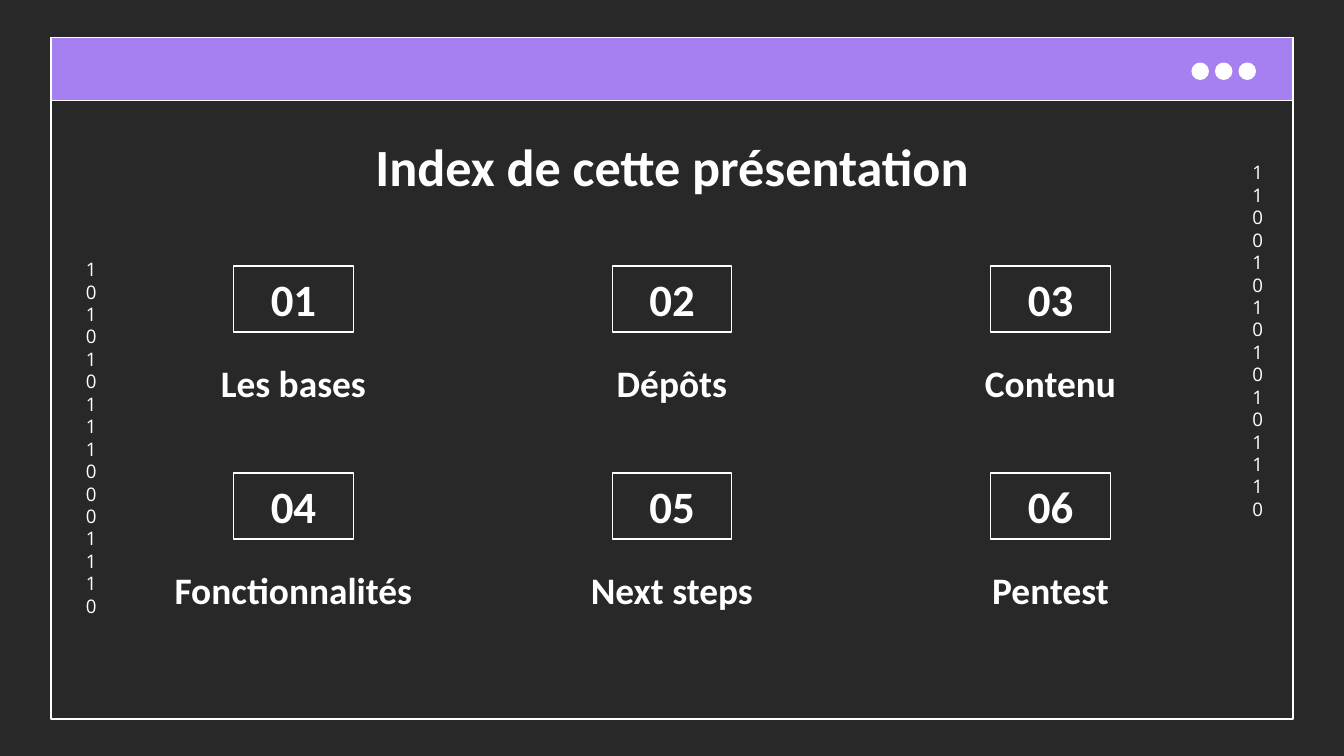
import pptx
import pptx.util
import pptx.dml.color
import pptx.enum.shapes
import pptx.enum.text

SHAPE = pptx.enum.shapes.MSO_SHAPE
ANCHOR = pptx.enum.text.MSO_ANCHOR
COLORS = {"background": "292828", "bar": "A67FF1", "ink": "FFFFFF"}
WIDTH = 10
HEIGHT = WIDTH * 9 / 16
COLUMNS, ROWS = 3, 2
TOPICS = ["Les bases", "Dépôts", "Contenu",
          "Fonctionnalités", "Next steps", "Pentest"]


def rgb(name):
    return pptx.dml.color.RGBColor.from_string(COLORS[name])


def inches(box):
    return [pptx.util.Inches(length) for length in box]


def write(holder, text, size=20, font="Calibri", bold=True, anchor=ANCHOR.TOP):
    """Fill a text holder with centred paragraphs, one per line of text."""
    frame = holder.text_frame
    frame.word_wrap = True
    frame.auto_size = pptx.enum.text.MSO_AUTO_SIZE.NONE
    frame.vertical_anchor = anchor
    frame.margin_left = frame.margin_right = pptx.util.Inches(0.1)
    frame.margin_top = frame.margin_bottom = pptx.util.Inches(0.1)
    frame.text = text
    for paragraph in frame.paragraphs:
        paragraph.alignment = pptx.enum.text.PP_ALIGN.CENTER
        paragraph.font.size = pptx.util.Pt(size)
        paragraph.font.name = font
        paragraph.font.bold = bold
        paragraph.font.color.rgb = rgb("ink")


def add_outlined(slide, kind, box, fill=None):
    """Draw a shape with a thin white line."""
    outlined = slide.shapes.add_shape(kind, *inches(box))
    outlined.shadow.inherit = False
    outlined.line.color.rgb = rgb("ink")
    outlined.line.width = pptx.util.Pt(0.75)
    if fill:
        outlined.fill.solid()
        outlined.fill.fore_color.rgb = rgb(fill)
    else:
        outlined.fill.background()
    return outlined


def add_label(slide, box, text, **style):
    write(slide.shapes.add_textbox(*inches(box)), text, **style)


def add_window(slide, box):
    """Window frame with its title bar and three buttons."""
    left, top, width, height = box
    bar_height, dot = 0.47, 0.12
    dot_pitch = 0.35 / 2
    add_outlined(slide, SHAPE.RECTANGLE, box)
    add_outlined(slide, SHAPE.RECTANGLE, (left, top, width, bar_height), "bar")
    first_dot = left + width - 0.75
    for index in range(3):
        add_outlined(slide, SHAPE.OVAL,
                     (first_dot + index * dot_pitch, top + 0.19, dot, dot),
                     "ink")


def add_binary_column(slide, box, digits):
    """Digits that wrap one by one in a narrow box."""
    add_label(slide, box, digits, size=10, font="Open Sans", bold=False)


def add_topic(slide, box, number, topic):
    """Numbered frame centred above the name of the topic."""
    left, top, width, height = box
    frame_width, frame_height, label_offset = 0.89, 0.49, 0.6
    frame = add_outlined(slide, SHAPE.RECTANGLE,
                         (left + (width - frame_width) / 2, top,
                          frame_width, frame_height))
    write(frame, f"{number:02d}", size=24, anchor=ANCHOR.MIDDLE)
    add_label(slide, (left, top + label_offset, width, height - label_offset),
              topic)


def add_index(slide, box):
    """Grid of topics, numbered row by row."""
    left, top, width, height = box
    gap = 0.03
    cell_width = (width - gap * (COLUMNS - 1)) / COLUMNS
    row_pitch = 1.54
    cell_height = height - row_pitch * (ROWS - 1)
    for index, topic in enumerate(TOPICS):
        row, column = divmod(index, COLUMNS)
        cell = (left + column * (cell_width + gap), top + row * row_pitch,
                cell_width, cell_height)
        add_topic(slide, cell, index + 1, topic)


def place_title(slide, box, text):
    title = slide.shapes.title
    title.left, title.top, title.width, title.height = inches(box)
    write(title, text, size=28)


def main():
    deck = pptx.Presentation()
    deck.slide_width, deck.slide_height = inches((WIDTH, HEIGHT))
    slide = deck.slides.add_slide(deck.slide_layouts[5])
    slide.background.fill.solid()
    slide.background.fill.fore_color.rgb = rgb("background")

    # Window and binary decoration
    add_window(slide, (0.38, 0.28, WIDTH - 0.76, 5.07))
    add_binary_column(slide, (9.22, 1.1, 0.24, 2.8), "1100101010101110")
    add_binary_column(slide, (0.54, 1.82, 0.24, 2.8), "101010111000111\n0")

    # Title and index
    place_title(slide, (0.79, 0.9, 8.42, 0.63), "Index de cette présentation")
    add_index(slide, (0.79, 1.98, 8.42, 2.74))

    deck.save("out.pptx")


if __name__ == "__main__":
    main()
